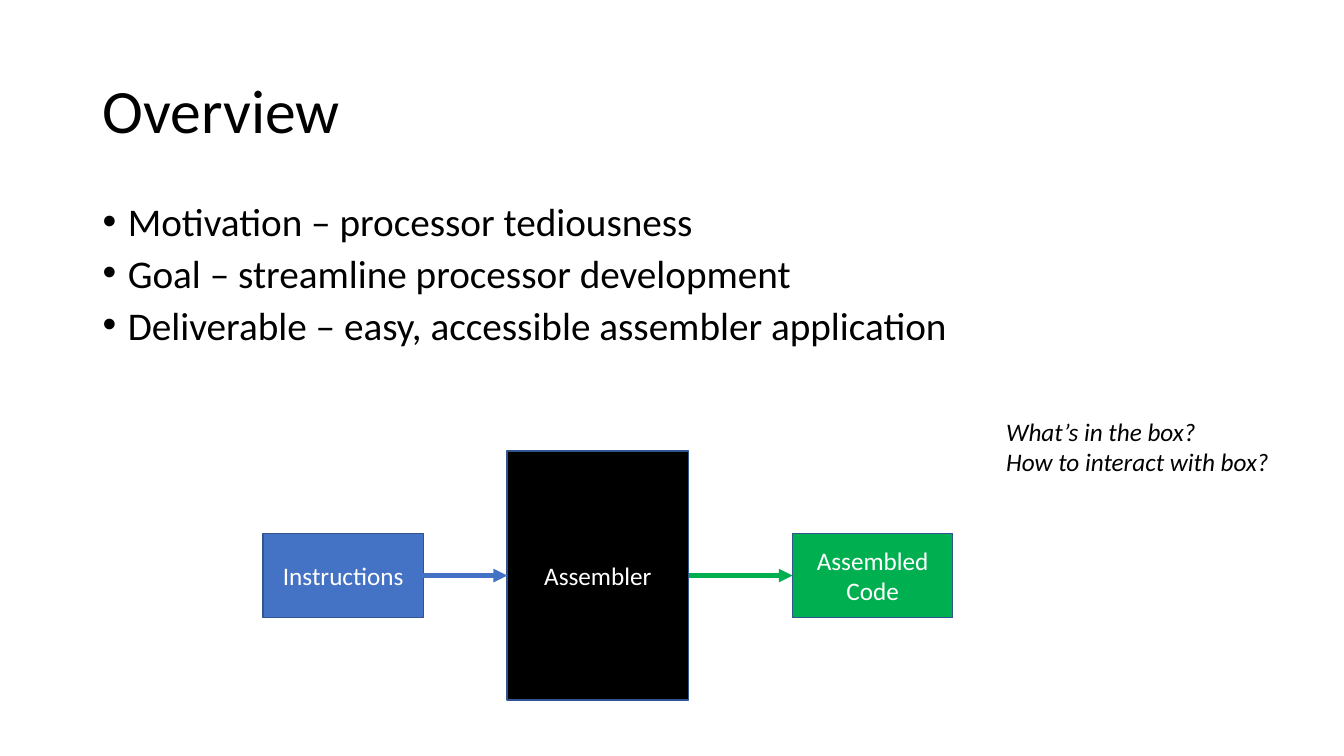
import pptx
import pptx.util
import pptx.dml.color
import pptx.enum.shapes
import pptx.enum.text
import pptx.oxml.ns
import lxml.etree

Inches = pptx.util.Inches
Pt = pptx.util.Pt
RGBColor = pptx.dml.color.RGBColor
ALIGN = pptx.enum.text.PP_ALIGN
ANCHOR = pptx.enum.text.MSO_ANCHOR
qn = pptx.oxml.ns.qn

BLACK = RGBColor(0, 0, 0)
WHITE = RGBColor(255, 255, 255)
BLUE = RGBColor(0x44, 0x72, 0xC4)
GREEN = RGBColor(0x00, 0xB0, 0x50)
OUTLINE = RGBColor(0x32, 0x54, 0x91)


def write(box, lines, size=18, color=BLACK, italic=None, align=ALIGN.LEFT,
          anchor=ANCHOR.TOP, wrap=True, spacing=None, before=None, bullet=None):
    frame = box.text_frame
    frame.word_wrap = wrap
    frame.vertical_anchor = anchor
    for index, line in enumerate(lines):
        para = frame.add_paragraph() if index else frame.paragraphs[0]
        para.alignment = align
        para.line_spacing = spacing
        if before is not None:
            para.space_before = Pt(before)
        if bullet:
            properties = para._p.get_or_add_pPr()
            properties.set("marL", str(Inches(0.25)))
            properties.set("indent", str(-Inches(0.25)))
            font = lxml.etree.SubElement(properties, qn("a:buFont"))
            font.set("typeface", "Arial")
            mark = lxml.etree.SubElement(properties, qn("a:buChar"))
            mark.set("char", bullet)
        span = para.add_run()
        span.text = line
        span.font.name = "Calibri"
        span.font.size = Pt(size)
        span.font.italic = italic
        span.font.color.rgb = color


deck = pptx.Presentation()
deck.slide_width = Inches(13.33)
deck.slide_height = Inches(7.5)
page = deck.slides.add_slide(deck.slide_layouts[6])

# Title
title = page.shapes.add_textbox(Inches(0.92), Inches(0.4), Inches(11.5), Inches(1.45))
write(title, ["Overview"], size=44, anchor=ANCHOR.MIDDLE, spacing=0.9)

# Bullet points
points = page.shapes.add_textbox(Inches(0.92), Inches(2), Inches(8.85), Inches(1.62))
write(points, ["Motivation – processor tediousness",
               "Goal – streamline processor development",
               "Deliverable – easy, accessible assembler application"],
      size=28, spacing=0.8, before=10, bullet="•")

# Flow boxes, centred on one axis
axis = 5.71
stages = [
    ("Instructions", 2.61, 1.59, 0.83, BLUE),
    ("Assembler", 5.03, 1.8, 2.47, BLACK),
    ("Assembled Code", 7.86, 1.59, 0.83, GREEN),
]
for label, left, width, height, fill in stages:
    box = page.shapes.add_shape(
        pptx.enum.shapes.MSO_SHAPE.RECTANGLE, Inches(left),
        Inches(axis - height / 2), Inches(width), Inches(height))
    box.shadow.inherit = False
    box.fill.solid()
    box.fill.fore_color.rgb = fill
    box.line.color.rgb = OUTLINE
    box.line.width = Pt(1)
    write(box, [label], color=WHITE, align=ALIGN.CENTER, anchor=ANCHOR.MIDDLE)

# Arrows from each box to the next
for source, target, color in zip(stages, stages[1:], (BLUE, GREEN)):
    arrow = page.shapes.add_connector(
        pptx.enum.shapes.MSO_CONNECTOR.STRAIGHT, Inches(source[1] + source[2]),
        Inches(axis), Inches(target[1]), Inches(axis))
    arrow.line.color.rgb = color
    arrow.line.width = Pt(3.25)
    head = lxml.etree.SubElement(arrow.line._get_or_add_ln(), qn("a:tailEnd"))
    head.set("type", "triangle")
    lxml.etree.SubElement(arrow._element.spPr, qn("a:effectLst"))

# Questions
questions = page.shapes.add_textbox(Inches(9.88), Inches(4.08), Inches(2.85), Inches(0.71))
write(questions, ["What’s in the box?", "How to interact with box?"],
      italic=True, wrap=False)
questions.text_frame.auto_size = pptx.enum.text.MSO_AUTO_SIZE.SHAPE_TO_FIT_TEXT

deck.save("out.pptx")
